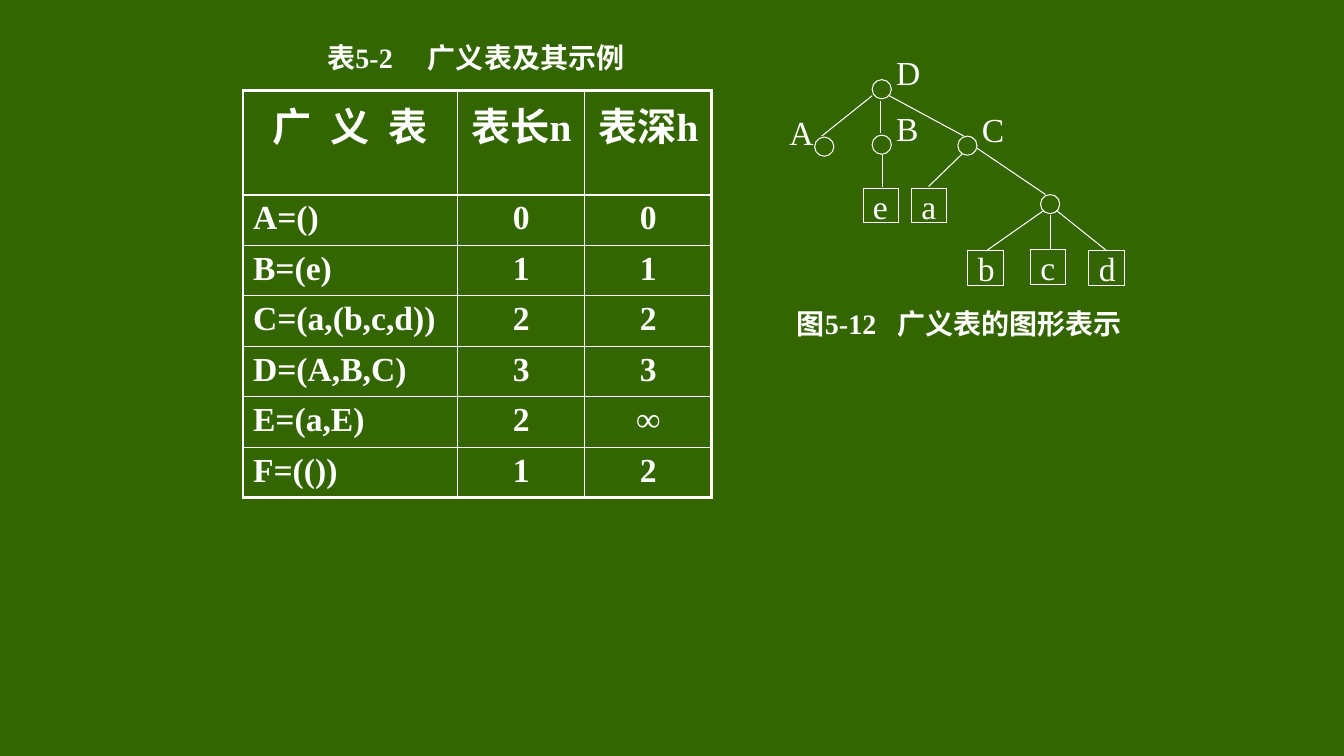
from lxml import etree
from pptx import Presentation
from pptx.dml.color import RGBColor
from pptx.enum import shapes, text
from pptx.oxml import ns
from pptx.util import Inches, Pt

GREEN = RGBColor(0x33, 0x66, 0x00)
WHITE = RGBColor(0xFF, 0xFF, 0xFF)
LATIN, SANS, CHINESE = "Times New Roman", "Arial", "Noto Sans CJK SC"
THIN, THICK = 1, 2.25

HEADERS = ("广 义 表", "表长n", "表深h")
LISTS = (
    ("A=()", "0", "0"),
    ("B=(e)", "1", "1"),
    ("C=(a,(b,c,d))", "2", "2"),
    ("D=(A,B,C)", "3", "3"),
    ("E=(a,E)", "2", "∞"),
    ("F=(())", "1", "2"),
)
COLUMN_WIDTHS = (2.13, 1.26, 1.26)
ROW_HEIGHTS = (0.51, 0.42, 0.47, 0.37, 0.42, 0.4, 0.37)

ATOMS = {"a": (1.4, 1.32), "b": (1.96, 1.94), "e": (0.92, 1.32),
         "c": (2.58, 1.93), "d": (3.16, 1.94)}
LABELS = {"A": (0.09, 0.59), "B": (1.15, 0.55), "C": (2, 0.56), "D": (1.15, 0)}
NODES = ((0.44, 0.81), (1.01, 0.79), (1.86, 0.8), (2.68, 1.38), (1.01, 0.24))
EDGES = (
    (1.09, 0.45, 1.09, 0.77), (1.01, 0.4, 0.51, 0.8), (1.18, 0.4, 1.92, 0.8),
    (1.11, 0.99, 1.11, 1.31), (1.9, 0.98, 1.57, 1.3), (2.05, 0.92, 2.73, 1.38),
    (2.71, 1.54, 2.14, 1.94), (2.78, 1.58, 2.78, 1.92), (2.84, 1.54, 3.34, 1.94),
)


def style_font(font, size, bold):
    """Set a white font of the given size and weight."""
    font.size, font.bold, font.name = Pt(size), bold, LATIN
    font.color.rgb = WHITE


def add_run(paragraph, words, font_name, spacing=0):
    """Append a run, with extra letter spacing in points."""
    run = paragraph.add_run()
    run.text = words
    run.font.name = font_name
    properties = run.font._element
    if spacing:
        properties.set("spc", str(int(spacing * 100)))
    etree.SubElement(properties, ns.qn("a:ea"), typeface=CHINESE)


def add_caption(container, left, top, width, kind, number, title, gap):
    """Place a centred caption whose number and title stand a gap apart."""
    box = container.add_textbox(Inches(left), Inches(top), Inches(width), Inches(0.42))
    frame = box.text_frame
    frame.word_wrap = True
    frame.vertical_anchor = text.MSO_ANCHOR.MIDDLE
    paragraph = frame.paragraphs[0]
    paragraph.alignment = text.PP_ALIGN.CENTER
    style_font(paragraph.font, 20, True)
    add_run(paragraph, kind, SANS)
    add_run(paragraph, number, LATIN)
    add_run(paragraph, " ", LATIN, gap)
    add_run(paragraph, title[:2], SANS)
    add_run(paragraph, title[2:], CHINESE)


def add_border(cell, side, width):
    """Draw one white side of a table cell."""
    line = etree.SubElement(cell._tc.get_or_add_tcPr(), ns.qn(f"a:ln{side}"), w=str(Pt(width)))
    fill = etree.SubElement(line, ns.qn("a:solidFill"))
    etree.SubElement(fill, ns.qn("a:srgbClr"), val=str(WHITE))


def fill_cell(cell, words, is_header, centred, thick_sides):
    """Write and frame one table cell."""
    paragraph = cell.text_frame.paragraphs[0]
    style_font(paragraph.font, 28 if is_header else 24, True)
    if centred:
        paragraph.alignment = text.PP_ALIGN.CENTER
    for index, word in enumerate(words.split(" ")):
        if index:
            add_run(paragraph, " ", LATIN, 7)
        add_run(paragraph, word, LATIN)
    for side in "LRTB":
        add_border(cell, side, THICK if side in thick_sides else THIN)
    cell.fill.background()


def add_list_table(slide, left, top, width, height):
    """Place the table of generalized lists in its box."""
    rows = (HEADERS, *LISTS)
    graphic = slide.shapes.add_table(len(rows), len(HEADERS), Inches(left), Inches(top),
                                     Inches(width), Inches(height))
    table = graphic.table
    table.first_row = table.horz_banding = False
    for column, column_width in zip(table.columns, COLUMN_WIDTHS):
        column.width = Inches(column_width)
    for row, row_height in zip(table.rows, ROW_HEIGHTS):
        row.height = Inches(row_height)
    graphic.height = Inches(height)
    for r, row in enumerate(rows):
        for c, words in enumerate(row):
            edges = {"L": c == 0, "R": c == len(row) - 1,
                     "T": r == 0, "B": r == len(rows) - 1}
            thick_sides = [side for side, outer in edges.items() if outer]
            fill_cell(table.cell(r, c), words, r == 0, r == 0 or c > 0, thick_sides)


def add_outline(container, kind, left, top, width, height):
    """Place an unfilled shape with a fine white outline."""
    shape = container.add_shape(kind, Inches(left), Inches(top), Inches(width), Inches(height))
    shape.shadow.inherit = False
    shape.fill.background()
    shape.line.color.rgb = WHITE
    shape.line.width = Pt(0.75)
    return shape


def write_letter(shape, letter):
    """Write one letter of the tree in a shape."""
    frame = shape.text_frame
    frame.word_wrap = False
    frame.vertical_anchor = text.MSO_ANCHOR.MIDDLE
    paragraph = frame.paragraphs[0]
    paragraph.text = letter
    paragraph.alignment = text.PP_ALIGN.LEFT
    style_font(paragraph.font, 24, False)


def add_edge(container, x1, y1, x2, y2):
    """Draw one branch of the tree."""
    edge = container.add_connector(shapes.MSO_CONNECTOR.STRAIGHT, Inches(x1), Inches(y1),
                                   Inches(x2), Inches(y2))
    edge.line.color.rgb = WHITE
    edge.line.width = Pt(0.75)
    etree.SubElement(edge._element.spPr, ns.qn("a:effectLst"))


def add_tree(slide, left, top, width):
    """Place the tree of list D and its caption as one group."""
    container = slide.shapes.add_group_shape().shapes
    for letter, (x, y) in ATOMS.items():
        write_letter(add_outline(container, shapes.MSO_SHAPE.RECTANGLE,
                                 left + x, top + y, 0.35, 0.34), letter)
    for letter, (x, y) in LABELS.items():
        write_letter(container.add_textbox(Inches(left + x), Inches(top + y),
                                           Inches(0.35), Inches(0.34)), letter)
    for x, y in NODES:
        add_outline(container, shapes.MSO_SHAPE.OVAL, left + x, top + y, 0.19, 0.19)
    for x1, y1, x2, y2 in EDGES:
        add_edge(container, left + x1, top + y1, left + x2, top + y2)
    add_caption(container, left, top + 2.45, width, "图", "5-12", "广义表的图形表示", 10)


def main():
    """Build the slide and save it."""
    presentation = Presentation()
    presentation.slide_width, presentation.slide_height = Inches(13.33), Inches(7.5)
    slide = presentation.slides.add_slide(presentation.slide_layouts[6])
    slide.background.fill.solid()
    slide.background.fill.fore_color.rgb = GREEN
    add_caption(slide.shapes, 2.93, 0.36, 3.58, "表", "5-2", "广义表及其示例", 20)
    add_list_table(slide, 2.41, 0.9, 4.65, 3.57)
    add_tree(slide, 7.64, 0.55, 3.75)
    presentation.save("out.pptx")


if __name__ == "__main__":
    main()
